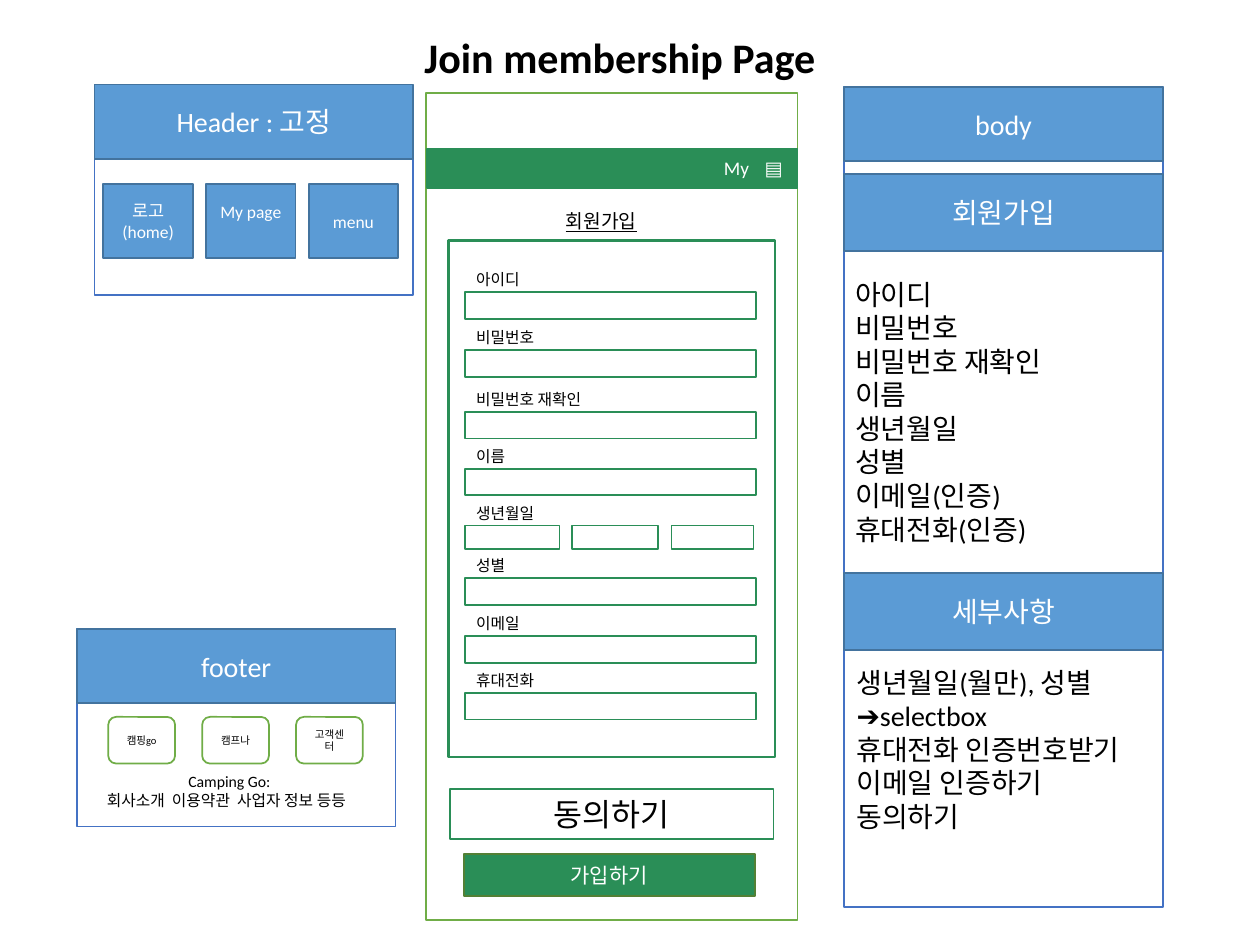
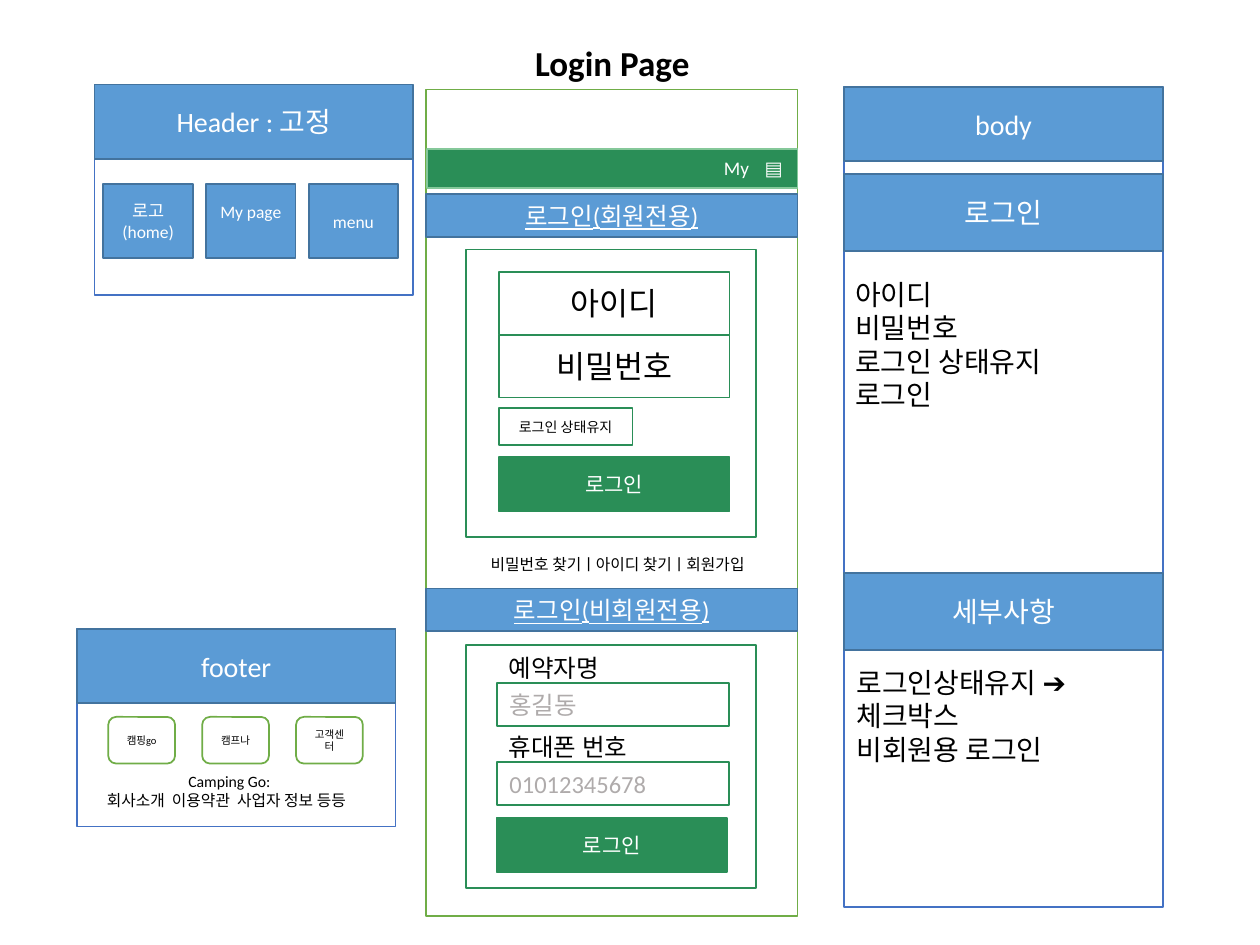
from dataclasses import dataclass

from pptx import Presentation
from pptx.dml.color import RGBColor
from pptx.enum.shapes import MSO_SHAPE
from pptx.enum.text import MSO_ANCHOR, PP_ALIGN
from pptx.util import Inches, Pt

RECT, ROUND = MSO_SHAPE.RECTANGLE, MSO_SHAPE.ROUNDED_RECTANGLE
LEFT, MID = PP_ALIGN.LEFT, PP_ALIGN.CENTER
TOP, CORE = MSO_ANCHOR.TOP, MSO_ANCHOR.MIDDLE
UNIT = Inches(0.1)
COLS, ROWS = 100, 75


@dataclass(frozen=True)
class Theme:
    """Colours, font and type sizes of the deck."""
    font: str = "Calibri"
    white: str = "FFFFFF"
    black: str = "000000"
    gray: str = "AFABAB"
    blue: str = "5B9BD5"
    navy: str = "43739E"
    rim: str = "4472C4"
    green: str = "2A8E57"
    lime: str = "70AD47"
    mint: str = "85C89A"
    olive: str = "538035"
    tiny: int = 6
    mini: int = 8
    small: int = 9
    note: int = 10
    menu: int = 11
    key: int = 12
    band: int = 14
    head: int = 16
    large: int = 18


T = Theme()


def grid(spot):
    """Turn grid columns and rows into slide lengths."""
    return [round(n * UNIT) for n in spot]


def write(shape, text, size, ink, align, bold=False, under=False):
    """Fill a shape with one paragraph per line of text."""
    frame = shape.text_frame
    frame.word_wrap = True
    frame.text = text
    for para in frame.paragraphs:
        para.alignment = align
        font = para.font
        font.name, font.size = T.font, Pt(size)
        font.color.rgb = RGBColor.from_string(ink)
        font.bold, font.underline = bold, under


def box(slide, spot, fill, edge, text="", size=T.head, ink=T.white,
        align=MID, under=False, form=RECT, width=1):
    """Draw a filled, outlined box with optional text."""
    shape = slide.shapes.add_shape(form, *grid(spot))
    shape.shadow.inherit = False
    shape.fill.solid()
    shape.fill.fore_color.rgb = RGBColor.from_string(fill)
    shape.line.color.rgb = RGBColor.from_string(edge)
    shape.line.width = Pt(width)
    if text:
        write(shape, text, size, ink, align, under=under)
    return shape


def label(slide, spot, text, size, ink=T.black, align=LEFT,
          anchor=TOP, bold=False, under=False):
    """Place plain text."""
    shape = slide.shapes.add_textbox(*grid(spot))
    write(shape, text, size, ink, align, bold, under)
    shape.text_frame.vertical_anchor = anchor


def band(slide, spot, text, size=T.head, under=False):
    """Draw a blue heading band."""
    box(slide, spot, T.blue, T.navy, text, size, under=under)


def field(slide, spot, text="", size=T.large, ink=T.black, align=MID):
    """Draw a white input box with a green edge."""
    box(slide, spot, T.white, T.green, text, size, ink, align)


def key(slide, spot, text, edge=T.green):
    """Draw a green button."""
    box(slide, spot, T.green, edge, text, T.key)


def header(slide):
    """Draw the header panel and its three tiles."""
    box(slide, (7.5, 7.7, 25.3, 15.7), T.white, T.rim)
    band(slide, (7.5, 6.7, 25.3, 5.9), "Header : 고정")
    for i, text in enumerate(("로고(home)", "My page", "menu")):
        tile = box(slide, (8.2 + 8.15 * i, 14.6, 7.1, 5.9), T.blue, T.navy,
                   text, T.note)
        if text == "My page":
            tile.text_frame.margin_bottom = Inches(0.21)


def footer(slide):
    """Draw the footer panel and its links."""
    box(slide, (6.1, 49.9, 25.3, 15.7), T.white, T.rim)
    band(slide, (6.1, 49.9, 25.3, 5.9), "footer")
    for i, text in enumerate(("캠핑go", "캠프나", "고객센터")):
        box(slide, (8.6 + 7.45 * i, 56.9, 5.3, 3.7), T.white, T.lime,
            text, T.tiny, T.black, form=ROUND)
    label(slide, (7.5, 60.8, 21.4, 2.4), "Camping Go:", T.small, align=MID)
    label(slide, (7.5, 62.3, 23, 2.4),
          "회사소개  이용약관  사업자 정보 등등", T.small)


def body(slide, name, items, notes):
    """Draw the body panel with its items and details."""
    box(slide, (67, 6.9, 25.3, 65.1), T.white, T.rim)
    band(slide, (67, 6.9, 25.3, 5.9), "body")
    band(slide, (67, 13.8, 25.3, 6.1), name)
    label(slide, (66.9, 21.5, 25.4, 22), "\n".join(items), T.head)
    band(slide, (67, 45.5, 25.3, 6.1), "세부사항")
    label(slide, (67, 52.3, 25.3, 14.5), "\n".join(notes), T.head)


def phone(slide, top, edge):
    """Draw the phone frame and its green menu bar."""
    box(slide, (33.8, top, 29.5, 65.6), T.white, T.lime)
    box(slide, (33.9, 11.8, 29.4, 3.1), T.green, edge)
    for x, w, text in ((56.1, 4.7, "My"), (59.7, 3.2, "▤")):
        label(slide, (x, 12, w, 2.6), text, T.menu, T.white, MID, CORE)


def page(deck, title, spot, size, top, edge, name, items, notes):
    """Start a slide with everything that the pages share."""
    slide = deck.slides.add_slide(deck.slide_layouts[6])
    header(slide)
    footer(slide)
    body(slide, name, items, notes)
    phone(slide, top, edge)
    label(slide, spot, title, size, align=MID, bold=True)
    return slide


def join(deck):
    """Build the sign-up page."""
    rows = {"아이디": 23.2, "비밀번호": 27.8, "비밀번호 재확인": 32.7,
            "이름": 37.2, "생년월일": 41.7, "성별": 45.9,
            "이메일": 50.5, "휴대전화": 55}
    items = [*rows][:6] + ["이메일(인증)", "휴대전화(인증)"]
    notes = ("생년월일(월만), 성별 ➔selectbox", "휴대전화 인증번호받기",
             "이메일 인증하기", "동의하기")
    slide = page(deck, "Join membership Page", (31.6, 2, 35.2, 5), 24,
                 7.4, T.green, "회원가입", items, notes)
    label(slide, (43.9, 16.1, 10, 2.9), "회원가입", T.menu, under=True)
    box(slide, (35.6, 19.1, 25.9, 41), T.white, T.green, width=1.5)
    for text, y in rows.items():
        label(slide, (36.8, y - 2.25, 23, 2.5), text, T.small)
        if text == "생년월일":
            for x, w in ((36.9, 7.5), (45.4, 6.8), (53.3, 6.5)):
                field(slide, (x, y, w, 1.9))
        else:
            field(slide, (36.9, y, 23.1, 2.1))
    field(slide, (35.7, 62.6, 25.7, 4), "동의하기")
    key(slide, (36.8, 67.8, 23.1, 3.3), "가입하기", T.olive)


def login(deck):
    """Build the login page."""
    items = ("아이디", "비밀번호", "로그인 상태유지", "로그인")
    notes = ("로그인상태유지 ➔체크박스", "비회원용 로그인")
    slide = page(deck, "Login Page", (38.8, 2.8, 19.6, 4.4), 20,
                 7.1, T.mint, "로그인", items, notes)
    for y, text in ((15.4, "로그인(회원전용)"), (46.7, "로그인(비회원전용)")):
        band(slide, (33.8, y, 29.5, 3.4), text, T.band, True)
    field(slide, (37, 19.8, 23, 22.8))
    for i, text in enumerate(items[:2]):
        field(slide, (39.6, 21.6 + 5 * i, 18.3, 4.95), text)
    field(slide, (39.6, 32.4, 10.6, 2.9), items[2], T.mini)
    key(slide, (39.6, 36.3, 18.3, 4.3), "로그인")
    label(slide, (35.1, 42.7, 27.8, 4.2),
          "비밀번호 찾기ㅣ아이디 찾기ㅣ회원가입", T.small,
          align=MID, anchor=CORE)
    field(slide, (37, 51.2, 23, 19.3))
    guest = (("예약자명", "홍길동"), ("휴대폰 번호", "01012345678"))
    for i, (name, hint) in enumerate(guest):
        y = 51.3 + 6.3 * i
        label(slide, (39.4, y, 18, 3.4), name, T.band)
        field(slide, (39.45, y + 2.9, 18.4, 3.4), hint, T.band, T.gray, LEFT)
    key(slide, (39.4, 64.9, 18.3, 4.3), "로그인")


def main():
    """Build and save the deck."""
    deck = Presentation()
    deck.slide_width, deck.slide_height = COLS * UNIT, ROWS * UNIT
    join(deck)
    login(deck)
    deck.save("out.pptx")


if __name__ == "__main__":
    main()
